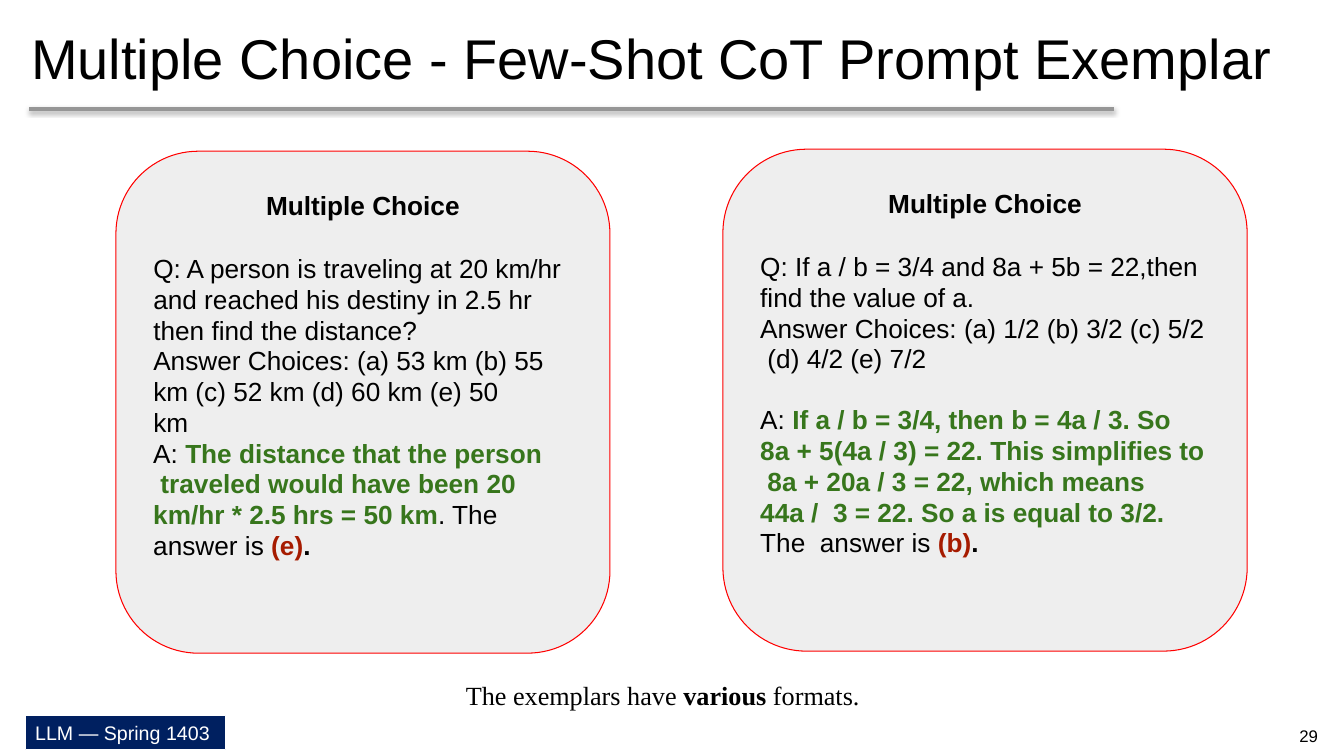
import pptx
import pptx.dml.color
import pptx.enum.shapes
import pptx.enum.text
import pptx.oxml
import pptx.oxml.ns
import pptx.util

PX = 9144
SHAPE = pptx.enum.shapes.MSO_SHAPE
ALIGN = pptx.enum.text.PP_ALIGN
ANCHOR = pptx.enum.text.MSO_ANCHOR
GREEN = {"color": "37761C", "bold": True}
RED = {"color": "A61B00", "bold": True}
BOLD = {"bold": True}
BREAK = "\n"

CARDS = [
    {
        "box": (115, 150, 490, 498),
        "question": [
            ["Q: A person is traveling at 20 km/hr  and reached his destiny in 2.5 hr  "
             "then find the distance?"],
            ["Answer Choices: (a) 53 km (b) 55  km (c) 52 km (d) 60 km (e) 50", BREAK, "km"],
        ],
        "question_width": 422,
        "answer": [[
            "A: ",
            ("The distance that the person  traveled would have been 20  "
             "km/hr * 2.5 hrs = 50 km", GREEN),
            ". The  answer is ", ("(e)", RED), (".", BOLD),
        ]],
        "answer_top": 284,
        "answer_width": 390,
    },
    {
        "box": (717, 148, 520, 498),
        "question": [
            ["Q: If a / b = 3/4 and 8a + 5b = 22,then  find the value of a."],
            ["Answer Choices: (a) 1/2 (b) 3/2 (c) 5/2  (d) 4/2 (e) 7/2"],
        ],
        "question_width": 446,
        "answer": [[
            "A: ",
            ("If a / b = 3/4, then b = 4a / 3. So  8a + 5(4a / 3) = 22. This simplifies to  "
             "8a + 20a / 3 = 22, which means 44a /  3 = 22. So a is equal to 3/2. ", GREEN),
            "The  answer is ", ("(b)", RED), (".", BOLD),
        ]],
        "answer_top": 253,
        "answer_width": 441,
    },
]


def px(*lengths):
    """Turn pixel lengths into EMU."""
    return [pptx.util.Emu(length * PX) for length in lengths]


def rgb(code):
    """Turn a hex string into a colour."""
    return pptx.dml.color.RGBColor.from_string(code)


def write(holder, paragraphs, size=18.7, font="Arial", color="000000", bold=False,
          align=ALIGN.LEFT, anchor=ANCHOR.TOP, line_spacing=None, inset=0):
    """Fill a shape with paragraphs made of plain or formatted runs."""
    frame = holder.text_frame
    frame.word_wrap = True
    frame.auto_size = pptx.enum.text.MSO_AUTO_SIZE.NONE
    frame.vertical_anchor = anchor
    frame.margin_left = frame.margin_right = px(inset)[0]
    frame.margin_top = frame.margin_bottom = 0
    for index, pieces in enumerate(paragraphs):
        paragraph = frame.add_paragraph() if index else frame.paragraphs[0]
        paragraph.alignment = align
        if line_spacing:
            paragraph.line_spacing = pptx.util.Pt(line_spacing)
        for piece in pieces:
            if piece == BREAK:
                paragraph.add_line_break()
                continue
            words, look = (piece, {}) if isinstance(piece, str) else piece
            run = paragraph.add_run()
            run.text = words
            run.font.name = font
            run.font.size = pptx.util.Pt(size)
            run.font.bold = look.get("bold", bold)
            run.font.color.rgb = rgb(look.get("color", color))


def add_text(slide, box, paragraphs, **look):
    """Add a text box."""
    write(slide.shapes.add_textbox(*px(*box)), paragraphs, **look)


def add_panel(slide, kind, box, fill, line):
    """Add a filled, outlined shape without a shadow."""
    panel = slide.shapes.add_shape(kind, *px(*box))
    panel.shadow.inherit = False
    panel.fill.solid()
    panel.fill.fore_color.rgb = rgb(fill)
    panel.line.color.rgb = rgb(line)
    panel.line.width = pptx.util.Pt(0.75)
    return panel


def add_header(slide, box):
    """Place the title and the shadowed rule under it."""
    left, top, width, height = box
    title = slide.shapes.title
    title.left, title.top, title.width, title.height = px(left + 2, top + 2, width, height)
    write(title, [["Multiple Choice - Few-Shot CoT Prompt Exemplar"]],
          size=40, anchor=ANCHOR.MIDDLE)
    rule = slide.shapes.add_connector(
        pptx.enum.shapes.MSO_CONNECTOR.STRAIGHT,
        *px(left, top + height, left + 1076, top + height))
    rule.line.color.rgb = rgb("969696")
    rule.line.width = pptx.util.Pt(3)
    rule._element.spPr.append(pptx.oxml.parse_xml(
        f'<a:effectLst {pptx.oxml.ns.nsdecls("a")}>'
        '<a:outerShdw blurRad="39370" dist="22860" dir="5400000" rotWithShape="0">'
        '<a:srgbClr val="000000"><a:alpha val="35000"/></a:srgbClr>'
        '</a:outerShdw></a:effectLst>'))


def add_card(slide, box, question, question_width, answer, answer_top, answer_width):
    """Place one exemplar card with heading, question and answer."""
    left, top, width, height = box
    add_panel(slide, SHAPE.ROUNDED_RECTANGLE, box, "EEEEEE", "FF0000")
    add_text(slide, (left, top + 38, width, 33), [["Multiple Choice"]],
             bold=True, align=ALIGN.CENTER)
    add_text(slide, (left + 37, top + 101, question_width, 31 * 6), question, line_spacing=22)
    add_text(slide, (left + 37, top + answer_top, answer_width, 31 * 5), answer, line_spacing=22)


def add_footer(slide, box):
    """Place the caption, the course label and the page number."""
    left, top, width, height = box
    add_text(slide, (left + 462, top, 400, 33),
             [["The exemplars have ", ("various ", BOLD), "formats."]], font="Times New Roman")
    course = add_panel(slide, SHAPE.RECTANGLE, (left + 25, top + 36, 199, 34),
                       "002060", "FFFFFF")
    write(course, [["LLM — Spring 1403"]], size=14, color="FFFFFF",
          anchor=ANCHOR.MIDDLE, inset=10)
    add_text(slide, (left + width - 70, top + height - 40, 70, 40), [["29"]],
             size=12, align=ALIGN.CENTER, anchor=ANCHOR.MIDDLE)


def main():
    """Build and save the slide."""
    deck = pptx.Presentation()
    deck.slide_width, deck.slide_height = px(1333, 750)
    slide = deck.slides.add_slide(deck.slide_layouts[5])
    add_header(slide, (29, 2, 1275, 106))
    for card in CARDS:
        add_card(slide, **card)
    add_footer(slide, (0, 674, 1333, 76))
    deck.save("out.pptx")


if __name__ == "__main__":
    main()
